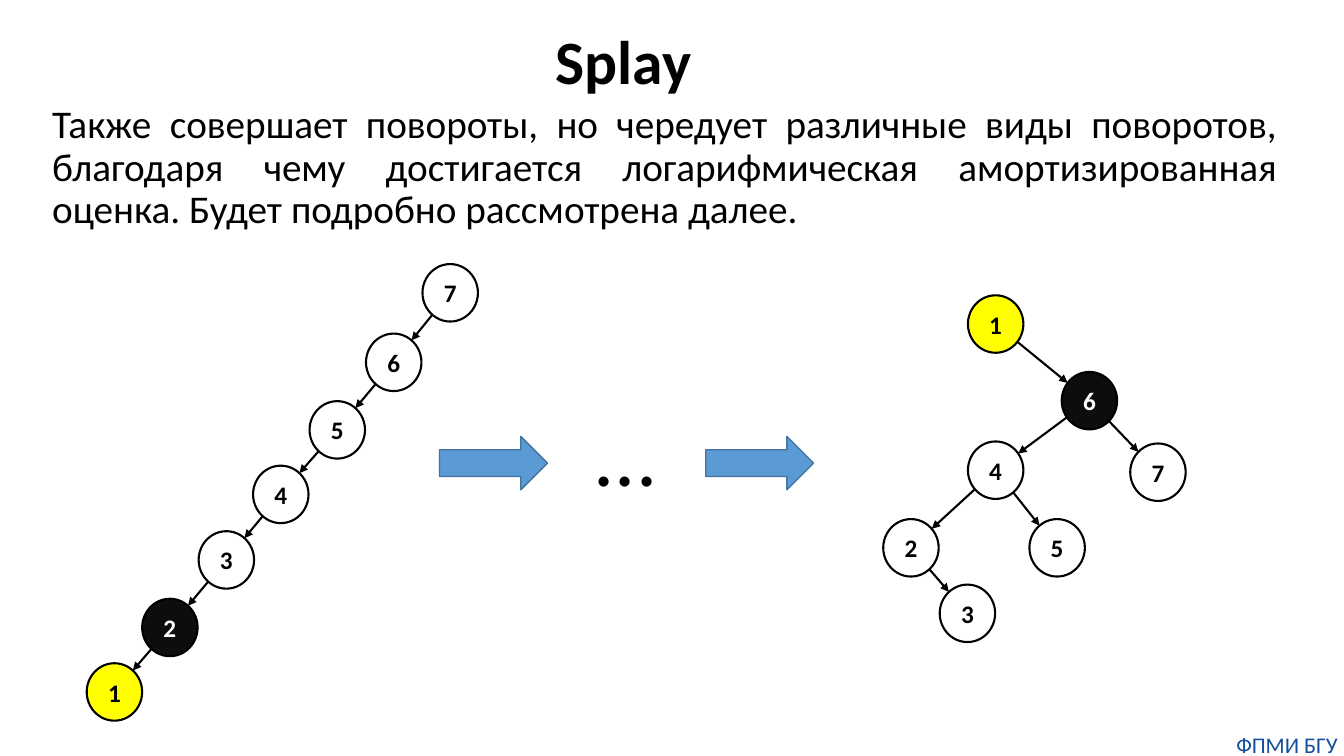
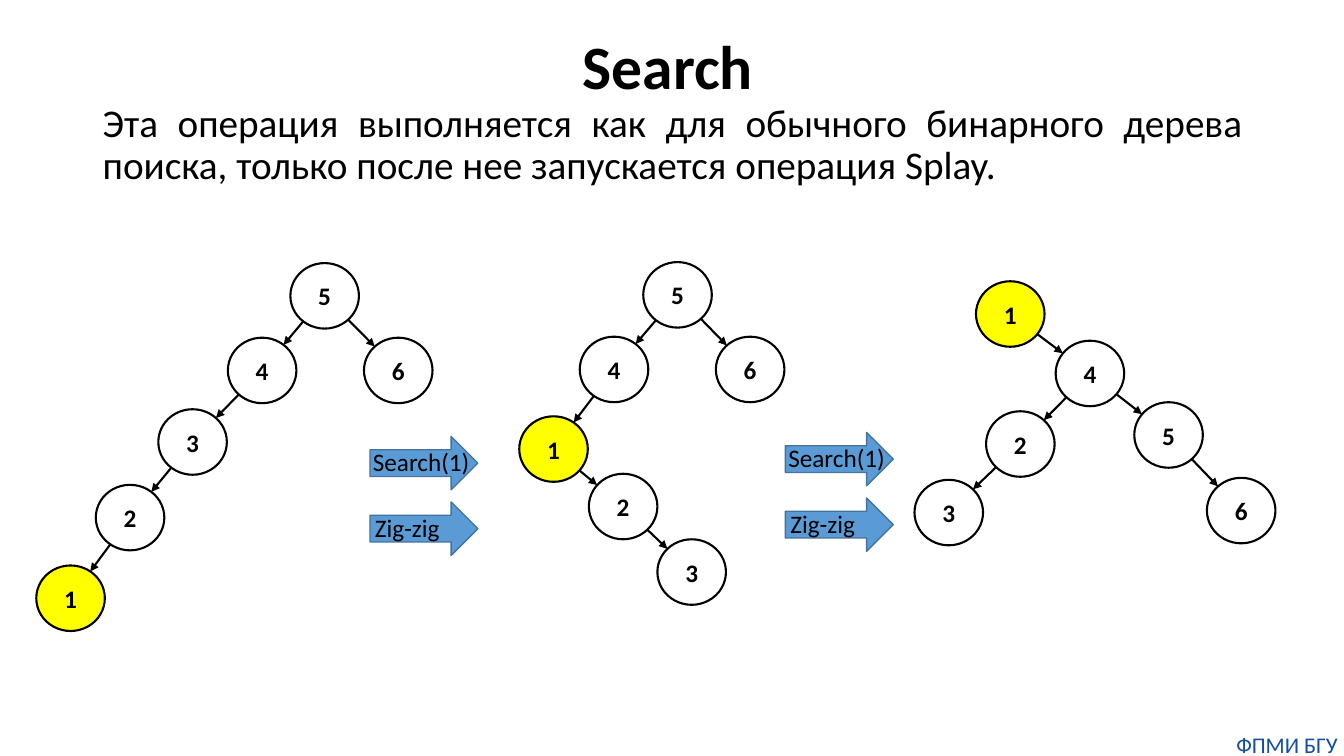
import math

from lxml import etree
from pptx import Presentation
from pptx import util as u
from pptx.dml import color as c
from pptx.enum import shapes, text
from pptx.oxml import ns

COLORS = {
    "black": "000000",
    "white": "FFFFFF",
    "dark": "0D0D0D",
    "yellow": "FFFF00",
    "blue": "5B9BD5",
    "blue_line": "43739E",
    "footer": "144E9D",
}
FONT = "Calibri"
ALIGN = text.PP_ALIGN


def rgb(name):
    """Return the named colour."""
    return c.RGBColor.from_string(COLORS[name])


def inches(*values):
    """Return the values as lengths."""
    return [u.Inches(value) for value in values]


class Deck:
    """Holds the shared style and the slide being built."""

    def __init__(self):
        """Start a wide presentation."""
        self.prs = Presentation()
        self.prs.slide_width, self.prs.slide_height = inches(13.33, 7.5)
        self.s = None

    def add_words(self, tf, words, size, color="black", bold=False, align=ALIGN.LEFT, spacing=None):
        """Put one styled run into a text frame."""
        p = tf.paragraphs[0]
        p.alignment = align
        p.line_spacing = spacing
        r = p.add_run()
        r.text = words
        r.font.name = FONT
        r.font.size = u.Pt(size)
        r.font.bold = bold
        r.font.color.rgb = rgb(color)

    def slide(self, title, left, top, width, height):
        """Add a slide with its title and footer."""
        self.s = self.prs.slides.add_slide(self.prs.slide_layouts[5])
        self.text("ФПМИ БГУ", 12.2, 7.25, 1.13, 0.27, 16, "footer", ALIGN.CENTER, inset=False)
        sp = self.s.shapes.title
        sp.left, sp.top, sp.width, sp.height = inches(left, top, width, height)
        tf = sp.text_frame
        tf.vertical_anchor = text.MSO_ANCHOR.MIDDLE
        self.add_words(tf, title, 44, bold=True, spacing=0.9)

    def text(self, words, left, top, width, height, size, color="black",
             align=ALIGN.LEFT, spacing=None, inset=True):
        """Add a wrapped text box."""
        sp = self.s.shapes.add_textbox(*inches(left, top, width, height))
        tf = sp.text_frame
        tf.word_wrap = True
        if not inset:
            tf.margin_left = tf.margin_right = tf.margin_top = tf.margin_bottom = 0
        self.add_words(tf, words, size, color, align=align, spacing=spacing)

    def body(self, words, left, top, width, height):
        """Add the justified paragraph below the title."""
        self.text(words, left, top, width, height, 28, align=ALIGN.JUSTIFY, spacing=0.9)

    def shape(self, kind, left, top, width, height, fill, line, weight):
        """Add a flat preset shape."""
        sp = self.s.shapes.add_shape(kind, *inches(left, top, width, height))
        sp.shadow.inherit = False
        if fill:
            sp.fill.solid()
            sp.fill.fore_color.rgb = rgb(fill)
        else:
            sp.fill.background()
        sp.line.color.rgb = rgb(line)
        sp.line.width = u.Pt(weight)
        return sp

    def arrow(self, left, top):
        """Add a blue block arrow."""
        self.shape(shapes.MSO_SHAPE.RIGHT_ARROW, left, top, 1.07, 0.53, "blue", "blue_line", 1)

    def node(self, key, left, top, width, height, fill):
        """Add a numbered tree node."""
        sp = self.shape(shapes.MSO_SHAPE.OVAL, left, top, width, height, fill, "black", 1.5)
        tf = sp.text_frame
        tf.vertical_anchor = text.MSO_ANCHOR.MIDDLE
        color = "white" if fill == "dark" else "black"
        self.add_words(tf, key, 18, color, bold=True, align=ALIGN.CENTER)

    def edge(self, x1, y1, x2, y2):
        """Add a thin line with an arrowhead at its end."""
        line = self.s.shapes.add_connector(shapes.MSO_CONNECTOR.STRAIGHT, *inches(x1, y1, x2, y2))
        line.line.color.rgb = rgb("black")
        line.line.width = u.Pt(1.5)
        props = line._element.spPr
        etree.SubElement(props.get_or_add_ln(), ns.qn("a:tailEnd"), type="triangle")
        etree.SubElement(props, ns.qn("a:effectLst"))

    def tree(self, nodes, edges, size, fills):
        """Add a tree whose edges run from rim to rim between node centres."""
        width, height = size
        for key, (left, top) in nodes.items():
            self.node(key, left, top, width, height, fills.get(key))
        for parent, child in edges.split():
            (x1, y1), (x2, y2) = [(nodes[k][0] + width / 2, nodes[k][1] + height / 2)
                                  for k in (parent, child)]
            dx, dy = x2 - x1, y2 - y1
            rim = 1 / math.hypot(dx / (width / 2), dy / (height / 2))
            self.edge(x1 + dx * rim, y1 + dy * rim, x2 - dx * rim, y2 - dy * rim)


def splay(deck):
    """Build the Splay slide."""
    size = (0.55, 0.57)
    fills = {"1": "yellow"}
    deck.slide("Splay", 5.41, -0.08, 1.66, 1.45)
    deck.body("Также совершает повороты, но чередует различные виды поворотов, благодаря чему "
              "достигается логарифмическая амортизированная оценка. Будет подробно "
              "рассмотрена далее.", 0.42, 0.99, 12.34, 1.05)
    deck.tree({"7": (4.19, 2.62), "6": (3.63, 3.31), "5": (3.07, 3.98), "4": (2.51, 4.62),
               "3": (1.97, 5.27), "2": (1.41, 5.94), "1": (0.86, 6.58)},
              "76 65 54 43 32 21", size, {**fills, "2": "dark"})
    deck.tree({"1": (9.6, 2.93), "6": (10.53, 3.69), "4": (9.6, 4.38), "7": (11.21, 4.4),
               "2": (8.76, 5.15), "5": (10.21, 5.15), "3": (9.32, 5.8)},
              "16 64 67 42 45 23", size, {**fills, "6": "dark"})
    for left in (4.36, 7):
        deck.arrow(left, 4.33)
    deck.text("...", 5.79, 3.94, 0.9, 1.11, 60)


def search(deck):
    """Build the Search slide."""
    size = (0.68, 0.65)
    fills = {"1": "yellow"}
    deck.slide("Search", 5.68, 0.08, 1.98, 1.22)
    deck.body("Эта операция выполняется как для обычного бинарного дерева поиска, только после "
              "нее запускается операция Splay.", 0.92, 0.98, 11.5, 1.03)
    trees = [
        ({"5": (2.88, 2.61), "4": (2.26, 3.35), "6": (3.61, 3.35), "3": (1.57, 4.06),
          "2": (0.95, 4.81), "1": (0.36, 5.61)}, "54 56 43 32 21"),
        ({"5": (6.38, 2.6), "4": (5.75, 3.34), "6": (7.1, 3.34), "1": (5.15, 4.13),
          "2": (5.84, 4.7), "3": (6.52, 5.35)}, "54 56 41 12 23"),
        ({"1": (9.68, 2.79), "4": (10.47, 3.38), "2": (9.78, 4.08), "5": (11.25, 3.99),
          "3": (9.07, 4.76), "6": (11.97, 4.74)}, "14 42 45 23 56"),
    ]
    for nodes, edges in trees:
        deck.tree(nodes, edges, size, fills)
    for left, top in ((3.67, 4.33), (7.79, 4.29)):
        deck.arrow(left, top)
        deck.arrow(left, top + 0.65)
        deck.text("Search(1)", left - 0.07, top + 0.05, 1.21, 0.4, 18)
        deck.text("Zig-zig", left - 0.05, top + 0.7, 0.94, 0.4, 18)


def main():
    """Build and save the presentation."""
    deck = Deck()
    splay(deck)
    search(deck)
    deck.prs.save("out.pptx")


if __name__ == "__main__":
    main()
